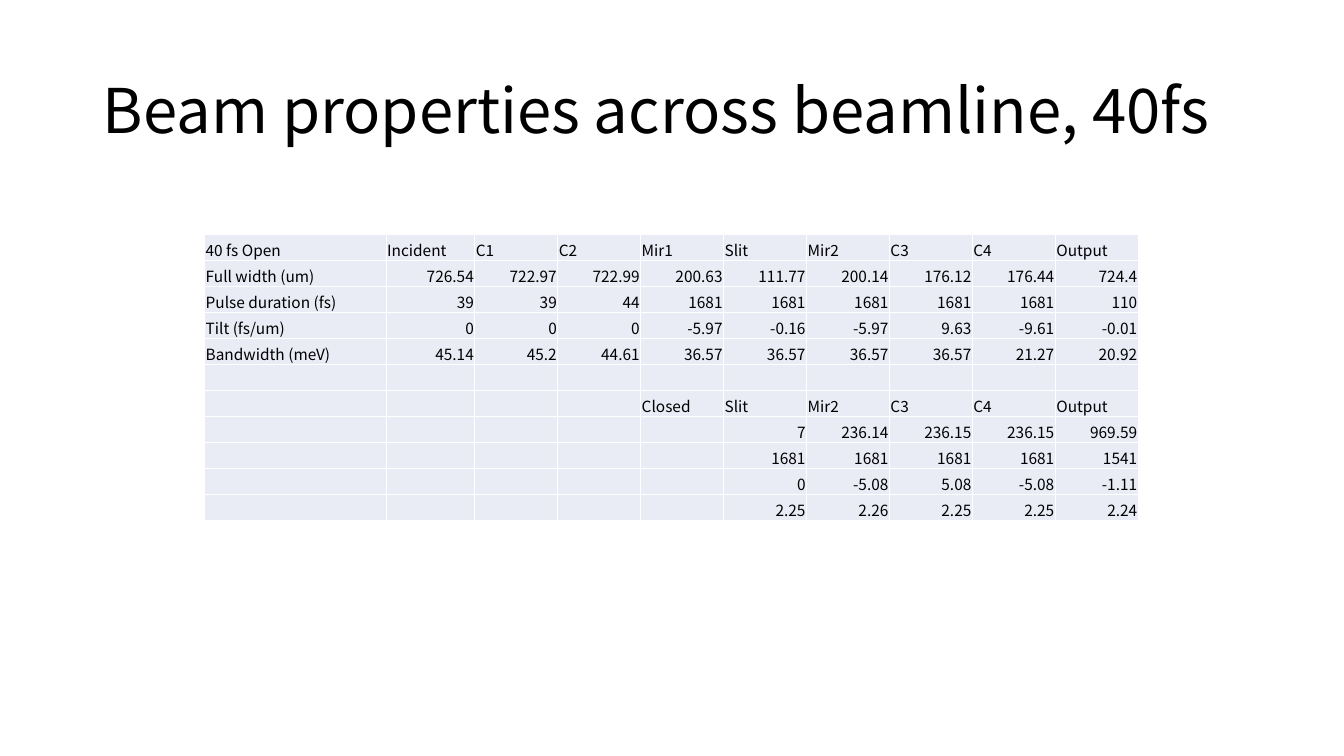
from lxml import etree
from pptx import Presentation
from pptx import util as u
from pptx.dml.color import RGBColor
from pptx.enum import text
from pptx.oxml.ns import qn

FONT = "Noto Sans CJK SC"
BLACK = RGBColor(0x00, 0x00, 0x00)
WHITE = RGBColor(0xFF, 0xFF, 0xFF)
PALE_BLUE = RGBColor(0xE9, 0xEB, 0xF5)

TITLE_BOX = (0.92, 0.4, 11.5, 1.45)
TABLE_BOX = (2.03, 2.33, 9.26, 2.84)
FIRST_COLS = [1.8, 0.88]
CELL_SIZE = 11
CELL_FORMAT = {
    "vertical_anchor": text.MSO_ANCHOR.BOTTOM,
    "margin_left": u.Inches(0.01),
    "margin_top": u.Inches(0.01),
    "margin_right": u.Inches(0.01),
    "margin_bottom": u.Inches(0),
}

OPEN_SLIT = [
    ["40 fs Open", "Incident", "C1", "C2", "Mir1", "Slit", "Mir2", "C3", "C4", "Output"],
    ["Full width (um)", 726.54, 722.97, 722.99, 200.63, 111.77, 200.14, 176.12, 176.44, 724.4],
    ["Pulse duration (fs)", 39, 39, 44, 1681, 1681, 1681, 1681, 1681, 110],
    ["Tilt (fs/um)", 0, 0, 0, -5.97, -0.16, -5.97, 9.63, -9.61, -0.01],
    ["Bandwidth (meV)", 45.14, 45.2, 44.61, 36.57, 36.57, 36.57, 36.57, 21.27, 20.92],
]
CLOSED_SLIT = [
    ["Closed", "Slit", "Mir2", "C3", "C4", "Output"],
    [7, 236.14, 236.15, 236.15, 969.59],
    [1681, 1681, 1681, 1681, 1541],
    [0, -5.08, 5.08, -5.08, -1.11],
    [2.25, 2.26, 2.25, 2.25, 2.24],
]


def set_attrs(obj, values):
    for name, value in values.items():
        setattr(obj, name, value)


def write(p, content, size, align):
    p.alignment = align
    r = p.add_run()
    r.text = content
    set_attrs(r.font, {"name": FONT, "size": u.Pt(size)})
    r.font.color.rgb = BLACK


def add_title(s, content):
    sp = s.shapes.title
    names = ("left", "top", "width", "height")
    set_attrs(sp, dict(zip(names, map(u.Inches, TITLE_BOX))))
    tf = sp.text_frame
    set_attrs(tf, {"word_wrap": True, "vertical_anchor": text.MSO_ANCHOR.MIDDLE})
    p = tf.paragraphs[0]
    p.line_spacing = 0.9
    write(p, content, 44, text.PP_ALIGN.LEFT)


def add_borders(cell):
    tc_pr = cell._tc.get_or_add_tcPr()
    for i, side in enumerate(("a:lnL", "a:lnR", "a:lnT", "a:lnB")):
        ln = etree.Element(qn(side), w=str(u.Pt(1)))
        fill = etree.SubElement(ln, qn("a:solidFill"))
        etree.SubElement(fill, qn("a:srgbClr"), val=str(WHITE))
        tc_pr.insert(i, ln)


def fill_cell(cell, value):
    set_attrs(cell, CELL_FORMAT)
    cell.fill.solid()
    cell.fill.fore_color.rgb = PALE_BLUE
    add_borders(cell)
    p = cell.text_frame.paragraphs[0]
    if value is None:
        etree.SubElement(p._p, qn("a:endParaRPr"), sz=str(CELL_SIZE * 100))
    else:
        is_label = isinstance(value, str)
        align = text.PP_ALIGN.LEFT if is_label else text.PP_ALIGN.RIGHT
        write(p, str(value), CELL_SIZE, align)


def add_data_table(s, rows):
    n_rows, n_cols = len(rows), len(rows[0])
    tbl = s.shapes.add_table(n_rows, n_cols, *map(u.Inches, TABLE_BOX)).table
    set_attrs(tbl, {"first_row": False, "horz_banding": False})
    width, height = TABLE_BOX[2:]
    n_rest = n_cols - len(FIRST_COLS)
    widths = FIRST_COLS + [(width - sum(FIRST_COLS)) / n_rest] * n_rest
    for col, w in zip(tbl.columns, widths):
        col.width = u.Inches(w)
    for i, row in enumerate(rows):
        tbl.rows[i].height = u.Inches(height / n_rows)
        for j, value in enumerate(row):
            fill_cell(tbl.cell(i, j), value)


def main():
    prs = Presentation()
    set_attrs(prs, {"slide_width": u.Inches(13.33), "slide_height": u.Inches(7.5)})
    s = prs.slides.add_slide(prs.slide_layouts[5])
    add_title(s, "Beam properties across beamline, 40fs")
    n_cols = len(OPEN_SLIT[0])
    closed = [[None] * (n_cols - len(row)) + row for row in CLOSED_SLIT]
    add_data_table(s, OPEN_SLIT + [[None] * n_cols] + closed)
    prs.save("out.pptx")


if __name__ == "__main__":
    main()
